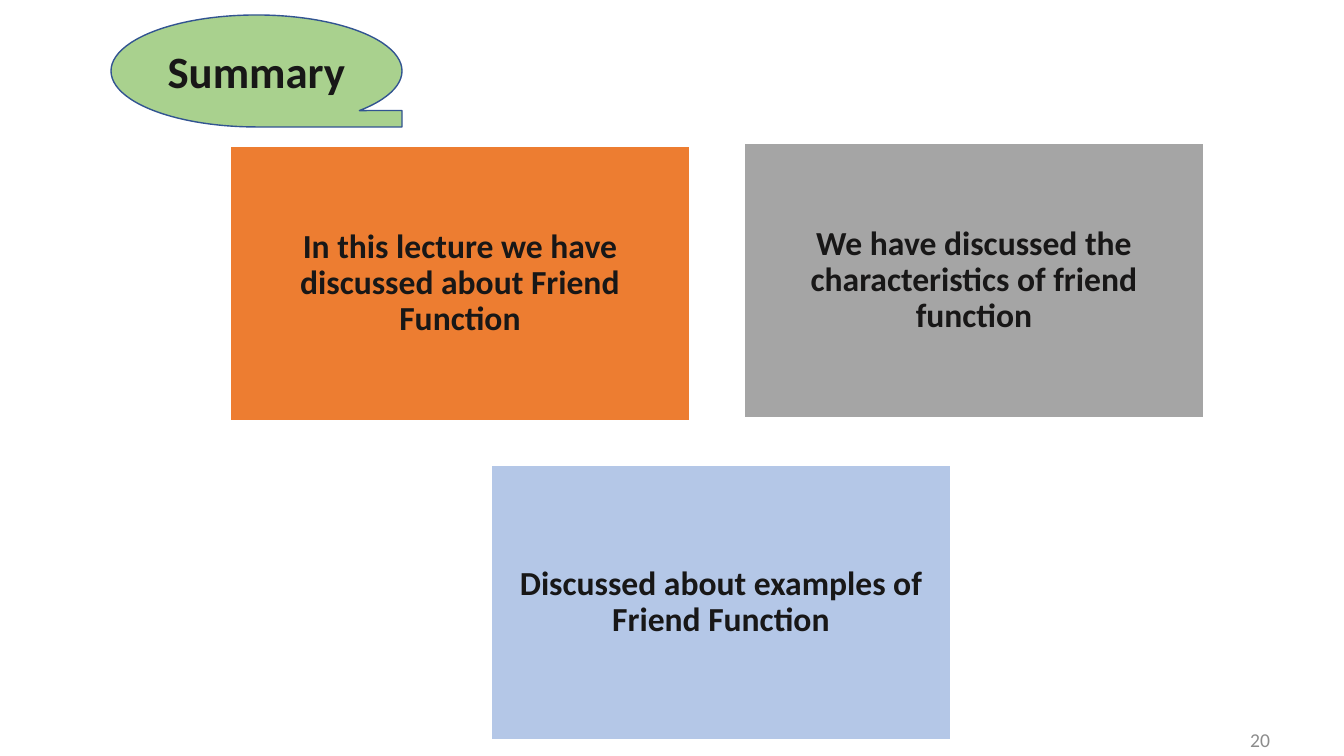
from pptx import Presentation
from pptx.dml.color import RGBColor
from pptx.enum.shapes import MSO_SHAPE
from pptx.enum.text import MSO_ANCHOR, MSO_AUTO_SIZE, PP_ALIGN
from pptx.util import Emu, Pt

TAPE, RECTANGLE = MSO_SHAPE.FLOWCHART_SEQUENTIAL_ACCESS_STORAGE, MSO_SHAPE.RECTANGLE
CENTER, RIGHT = PP_ALIGN.CENTER, PP_ALIGN.RIGHT
MIDDLE, NO_AUTOFIT = MSO_ANCHOR.MIDDLE, MSO_AUTO_SIZE.NONE
EMU_PER_PX = 914400 / 100.8
INK = "181717"


def px(*lengths):
    """Turn pixel lengths into a list of EMU lengths."""
    return [Emu(round(length * EMU_PER_PX)) for length in lengths]


def write(holder, text, size, color=INK, bold=True, align=CENTER, spacing=1.0, inset=0):
    frame = holder.text_frame
    frame.text = text
    margin, = px(inset)
    frame_format = {
        "word_wrap": True, "auto_size": NO_AUTOFIT, "vertical_anchor": MIDDLE,
        "margin_left": margin, "margin_right": margin,
        "margin_top": margin, "margin_bottom": margin,
    }
    for name, value in frame_format.items():
        setattr(frame, name, value)
    paragraph = frame.paragraphs[0]
    paragraph.alignment = align
    paragraph.line_spacing = spacing
    font = paragraph.runs[0].font
    for name, value in {"name": "Calibri", "size": Pt(size), "bold": bold}.items():
        setattr(font, name, value)
    font.color.rgb = RGBColor.from_string(color)


presentation = Presentation()
presentation.slide_width, presentation.slide_height = px(1344, 756)
slide = presentation.slides.add_slide(presentation.slide_layouts[5])

CARD_WIDTH, CARD_HEIGHT = 460, 275
cards = [
    (230, 146, "ED7D31", "In this lecture we have discussed about Friend Function"),
    (744, 143, "A5A5A5", "We have discussed the characteristics of friend function"),
    (491, 465, "B4C7E7", "Discussed about examples of Friend Function"),
]
TITLE_BOX = (111, 15, 291, 112)
panels = [(TAPE, TITLE_BOX, "A9D18E", "325491", "")]
panels += [(RECTANGLE, (left, top, CARD_WIDTH, CARD_HEIGHT), fill, "FFFFFF", text)
           for left, top, fill, text in cards]

for outline, box, fill, line, text in panels:
    panel = slide.shapes.add_shape(outline, *px(*box))
    panel.shadow.inherit = False
    panel.fill.solid()
    panel.fill.fore_color.rgb = RGBColor.from_string(fill)
    panel.line.color.rgb = RGBColor.from_string(line)
    panel.line.width = Pt(1)
    if text:
        write(panel, text, 24, spacing=0.9, inset=10)

# The title sits in front of its tape shape
summary = slide.shapes.title
summary.left, summary.top, summary.width, summary.height = px(*TITLE_BOX)
write(summary, "Summary", 32)
slide.shapes.element.append(summary.element)

page_number = slide.shapes.add_textbox(*px(1054, 726, 216, 28))
write(page_number, "20", 14, color="8C8C8C", bold=False, align=RIGHT)

presentation.save("out.pptx")
